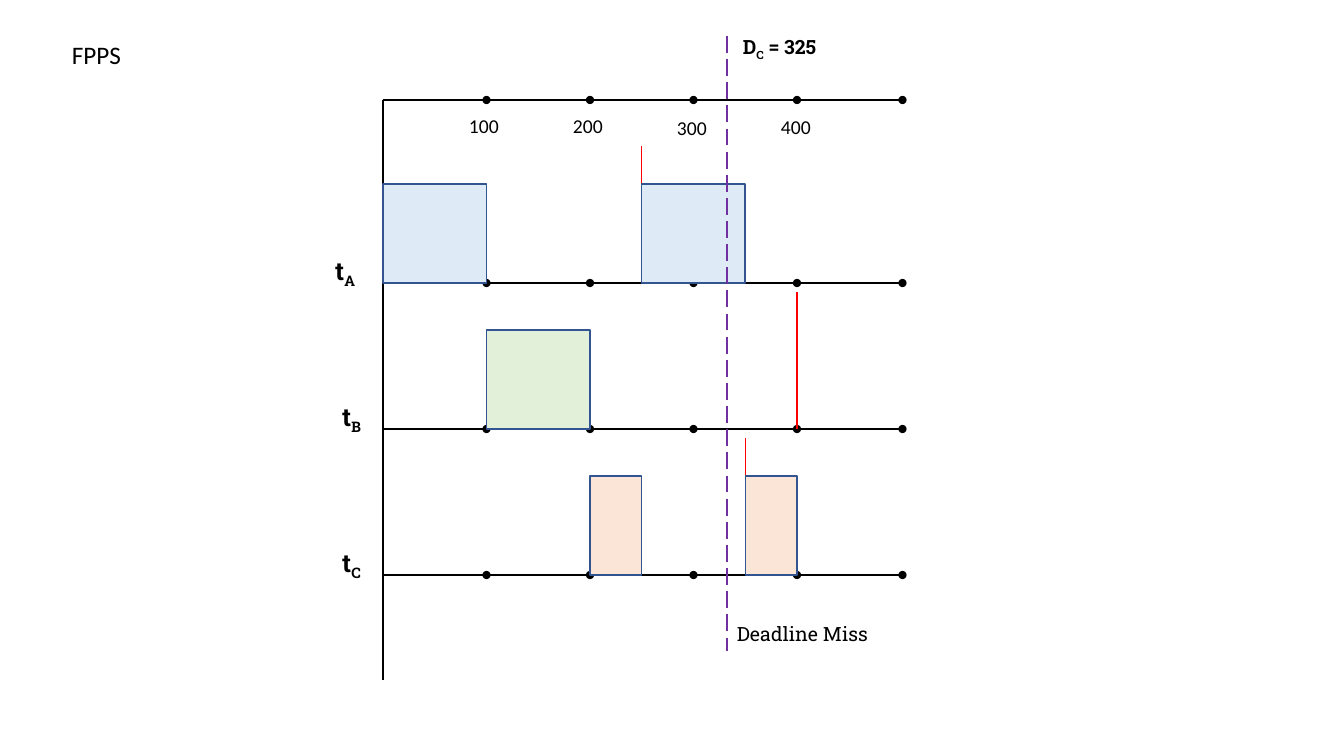
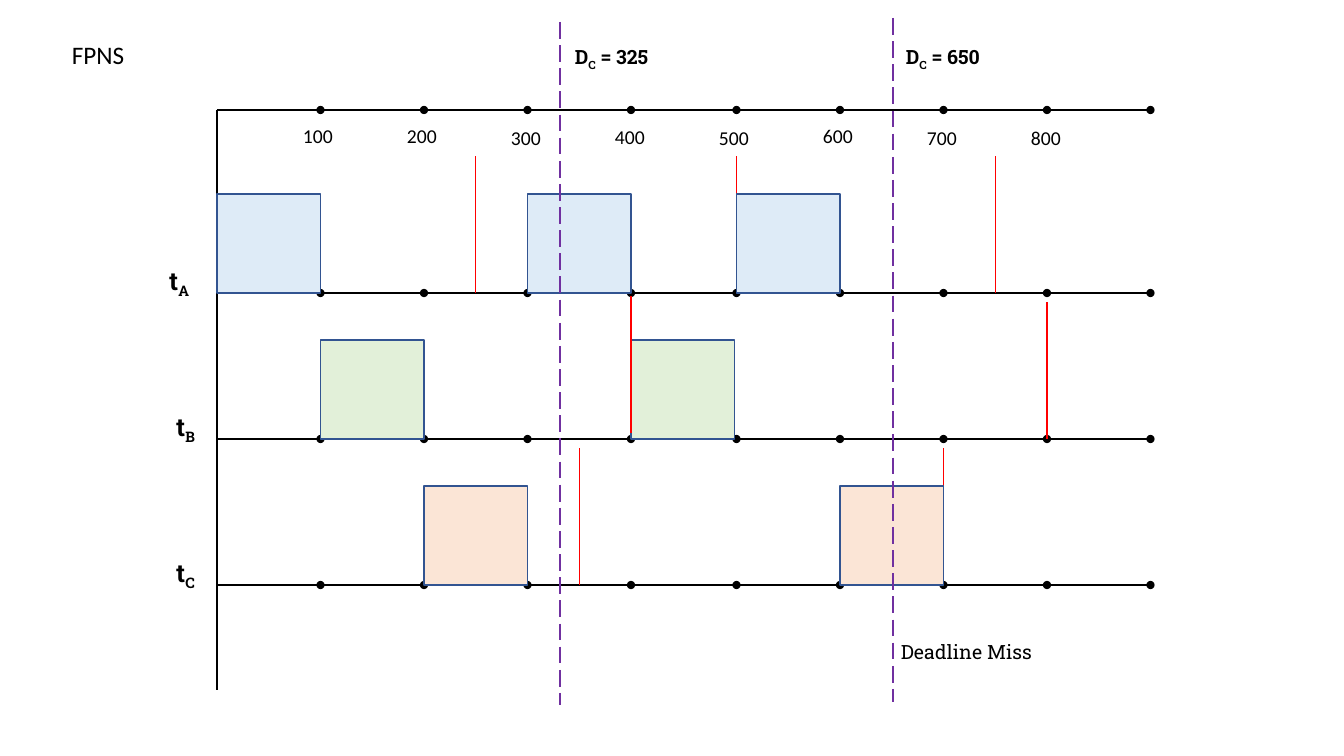
from pptx import Presentation
from pptx.dml.color import RGBColor
from pptx.enum.dml import MSO_LINE
from pptx.enum.shapes import MSO_CONNECTOR, MSO_SHAPE
from pptx.enum.text import MSO_AUTO_SIZE
from pptx.oxml.ns import qn
from pptx.util import Emu, Pt
from lxml.etree import SubElement

WIDE, HIGH = 1344, 756
SCALE = 12192000 / WIDE
BLACK = RGBColor(0, 0, 0)
RED = RGBColor(0xFF, 0, 0)
PURPLE = RGBColor(0x70, 0x30, 0xA0)
EDGE = RGBColor(0x32, 0x54, 0x91)
BLUE = RGBColor(0xDE, 0xEB, 0xF7)
GREEN = RGBColor(0xE2, 0xF0, 0xD9)
PEACH = RGBColor(0xFB, 0xE5, 0xD6)

SANS = {"name": "Calibri", "size": Pt(14)}
TITLE = {"name": "Calibri", "size": Pt(18)}
SLAB = {"name": "Roboto Slab", "size": Pt(14)}
BOLD = {**SLAB, "bold": True}
LANE = {**BOLD, "size": Pt(18)}

STEP, GAP = 103.5, 2
FIRST, PITCH = 183, 146
BLOCK, MARK, STEM = 99, 137, 580
DROPS = (9, 9, 11, 10, 11, 9, 11, 11)
LANES = (("A", BLUE, 58), ("B", GREEN, 51), ("C", PEACH, 51))

CHARTS = (
    {
        "title": "FPPS", "left": 383, "top": 100, "count": 5,
        "blocks": {"A": ((0, 100), (250, 100)), "B": ((100, 100),),
                   "C": ((200, 50), (350, 50))},
        "marks": {"A": ((250, 0),), "B": ((400, 0),), "C": ((350, 0),)},
        "dues": ((325, 344, -64, 551, 6),),
        "miss": (344, 517),
    },
    {
        "title": "FPNS", "left": 217, "top": 110, "count": 9,
        "blocks": {"A": ((0, 100), (300, 100), (500, 100)),
                   "B": ((100, 100), (400, 100)),
                   "C": ((200, 100), (600, 100))},
        "marks": {"A": ((250, 0), (500, 0), (750, 0)),
                  "B": ((800, 0), (400, 6)), "C": ((350, 0), (700, 0))},
        "dues": ((650, 676, -92, 592, 3), (325, 343, -88, 595, 5)),
        "miss": (674, 525),
    },
)


def px(num):
    """Turn px into EMU."""
    return Emu(round(num * SCALE))


def apply(obj, vals):
    """Set each format value on an object."""
    for key, val in vals.items():
        setattr(obj, key, val)


def line(slide, start, end, color, width, dash=None, dot=False):
    """Draw a straight line between two points."""
    link = slide.shapes.add_connector(
        MSO_CONNECTOR.STRAIGHT, *map(px, (*start, *end)))
    link.line.color.rgb = color
    apply(link.line, {"width": Pt(width), "dash_style": dash})
    props = link.element.spPr
    if dot:
        SubElement(props.find(qn("a:ln")), qn("a:tailEnd"), type="oval")
    SubElement(props, qn("a:effectLst"))


def text(slide, box, runs):
    """Write one paragraph of (words, format, baseline) runs."""
    frame = slide.shapes.add_textbox(*map(px, box)).text_frame
    apply(frame, {"word_wrap": True,
                  "auto_size": MSO_AUTO_SIZE.SHAPE_TO_FIT_TEXT})
    for words, look, base in runs:
        run = frame.paragraphs[0].add_run()
        run.text = words
        apply(run.font, look)
        run.font.color.rgb = BLACK
        if base:
            run.font._element.set("baseline", str(base * 1000))


def block(slide, box, fill):
    """Draw one run of a task."""
    rect = slide.shapes.add_shape(MSO_SHAPE.RECTANGLE, *map(px, box))
    rect.shadow.inherit = False
    rect.fill.solid()
    rect.fill.fore_color.rgb = fill
    rect.line.color.rgb = EDGE
    rect.line.width = Pt(1)


def spot(left, time):
    """Give the x of a time on an axis."""
    return left + time * STEP / 100 + (GAP if time > 400 else 0)


def grid(slide, left, top, count):
    """Draw the stem, the dotted axes and the time labels."""
    line(slide, (left, top), (left, top + STEM), BLACK, 1.5)
    rows = [top] + [top + FIRST + PITCH * i for i in range(len(LANES))]
    for y in rows:
        for i in range(count):
            end = spot(left, (i + 1) * 100)
            line(slide, (end - STEP, y), (end, y), BLACK, 1.25, dot=True)
    for i, drop in enumerate(DROPS[:count - 1]):
        box = (left + 76 + 104 * i, top + drop, 61, 34)
        text(slide, box, [(str((i + 1) * 100), SANS, 0)])


def marks(slide, left, base, times):
    """Draw the red release lines of a lane."""
    for time, lift in times:
        x = spot(left, time)
        line(slide, (x, base - lift), (x, base - lift - MARK), RED, 1)


def lane(slide, left, base, row, blocks, times):
    """Draw the label, the runs and the release lines of a task."""
    name, fill, shift = row
    front = name == "B"
    if not front:
        marks(slide, left, base, times)
    for time, span in blocks:
        box = (spot(left, time), base - BLOCK, span * STEP / 100, BLOCK)
        block(slide, box, fill)
    if front:
        marks(slide, left, base, times)
    text(slide, (left - shift, base - 33, 82, 40),
         [("t", LANE, 0), (name, LANE, -25)])


def due(slide, left, top, value, shift, start, end, inset):
    """Draw a dashed deadline and its label."""
    x = left + shift
    line(slide, (x, top + start), (x, top + end), PURPLE, 1.5,
         MSO_LINE.LONG_DASH)
    text(slide, (x + inset, top - 76, 112, 40),
         [("D", BOLD, 0), ("C", BOLD, -25), (f" = {value}", BOLD, 0),
          (" ", LANE, 0)])


def chart(slide, data):
    """Build one schedule slide."""
    left, top = data["left"], data["top"]
    grid(slide, left, top, data["count"])
    for i, row in enumerate(LANES):
        lane(slide, left, top + FIRST + PITCH * i, row,
             data["blocks"][row[0]], data["marks"][row[0]])
    for item in data["dues"]:
        due(slide, left, top, *item)
    x, y = data["miss"]
    text(slide, (left + x, top + y, 157, 34), [("Deadline Miss", SLAB, 0)])
    text(slide, (62, 34, 81, 40), [(data["title"], TITLE, 0)])


def main():
    """Build and save the deck."""
    deck = Presentation()
    apply(deck, {"slide_width": px(WIDE), "slide_height": px(HIGH)})
    for data in CHARTS:
        chart(deck.slides.add_slide(deck.slide_layouts[6]), data)
    deck.save("out.pptx")


if __name__ == "__main__":
    main()
